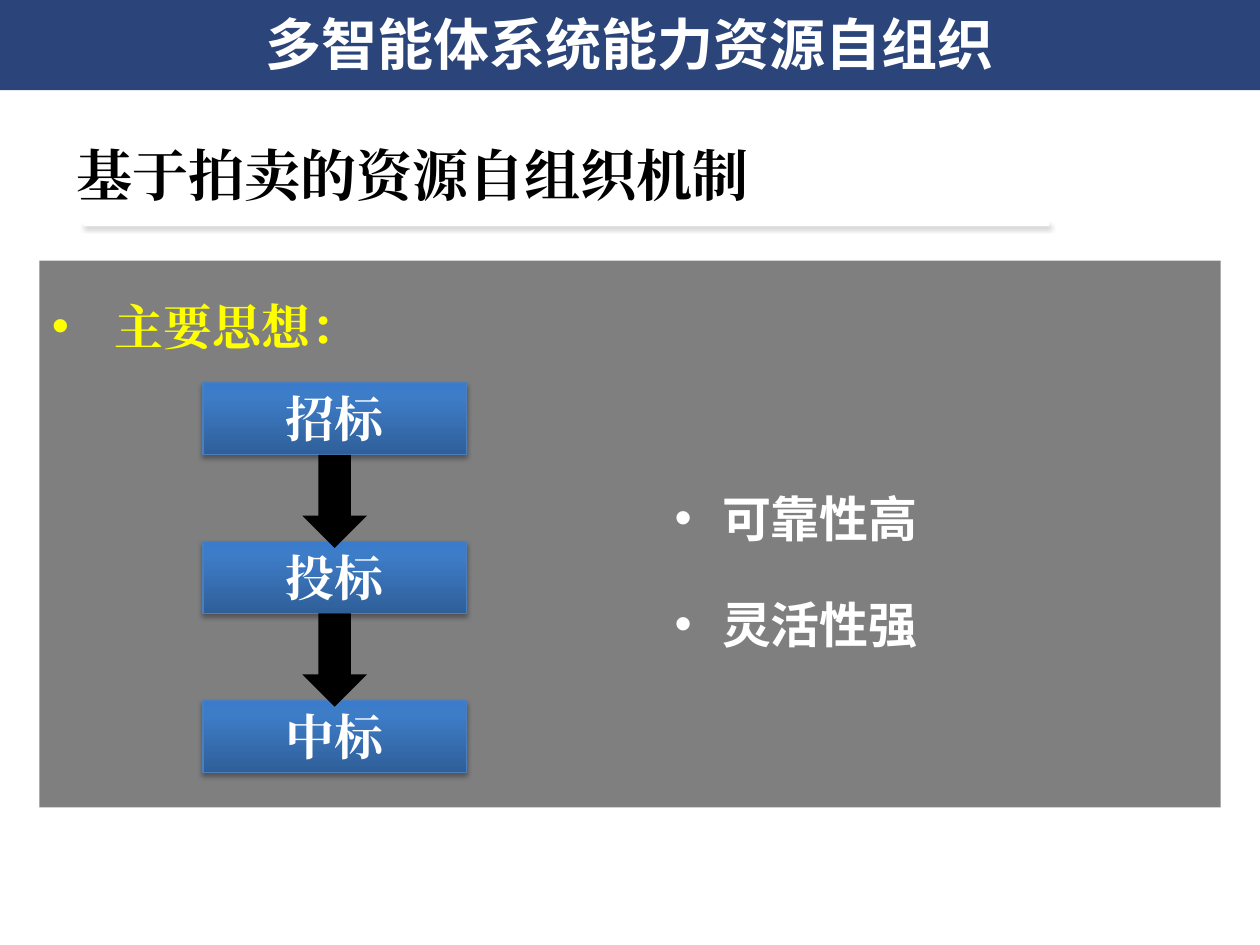
from pptx import Presentation
from pptx.dml.color import RGBColor
from pptx.enum.lang import MSO_LANGUAGE_ID
from pptx.enum.shapes import MSO_CONNECTOR, MSO_SHAPE
from pptx.enum.text import MSO_ANCHOR, PP_ALIGN
from pptx.oxml import parse_xml
from pptx.oxml.ns import nsdecls
from pptx.util import Pt

SERIF, SANS, CJK = "Times New Roman", "Calibri", "Noto Sans CJK SC"
STEP_STOPS = [(0, "2F5F99"), (80, "3D7CC7"), (100, "3A7CCB")]


def rgb(value):
    return RGBColor.from_string(value)


def element(xml):
    """Parse a fragment whose root carries the drawing namespace."""
    head, mark, rest = xml.partition(">")
    if head.endswith("/"):
        head, mark = head[:-1], "/>"
    return parse_xml(f"{head} {nsdecls('a')}{mark}{rest}")


def add_shadow(sp_pr, alpha, distance):
    """Put a soft black shadow below the shape, in place of the theme's."""
    for old in sp_pr.xpath("a:effectLst"):
        sp_pr.remove(old)
    sp_pr.append(element(
        f'<a:effectLst><a:outerShdw blurRad="{Pt(3.1)}" dist="{Pt(distance)}" '
        f'dir="5400000" rotWithShape="0"><a:srgbClr val="000000">'
        f'<a:alpha val="{alpha * 1000}"/></a:srgbClr></a:outerShdw></a:effectLst>'))


def add_box(slide, kind, x, y, w, h, fill, alpha=100):
    sp = slide.shapes.add_shape(kind, Pt(x), Pt(y), Pt(w), Pt(h))
    sp.shadow.inherit = False
    sp.line.fill.background()
    sp.fill.solid()
    sp.fill.fore_color.rgb = rgb(fill)
    if alpha < 100:
        clr = sp._element.spPr.xpath("a:solidFill/a:srgbClr")[0]
        clr.append(element(f'<a:alpha val="{alpha * 1000}"/>'))
    return sp


def write(sp, lines, size, color, font=SERIF, anchor=MSO_ANCHOR.TOP, indent=0, **layout):
    """Fill a shape with lines; an indent makes them bullets, layout formats paragraphs."""
    tf = sp.text_frame
    tf.word_wrap = True
    tf.vertical_anchor = anchor
    for i, line in enumerate(lines):
        p = tf.paragraphs[0] if i == 0 else tf.add_paragraph()
        for name, value in layout.items():
            if i or name != "space_before":
                setattr(p, name, value)
        if indent:
            p_pr = p._p.get_or_add_pPr()
            p_pr.set("marL", str(Pt(indent)))
            p_pr.set("indent", str(Pt(-indent)))
            p_pr.append(element('<a:buFont typeface="Arial"/>'))
            p_pr.append(element('<a:buChar char="•"/>'))
        r = p.add_run()
        r.text = line
        style = {"size": Pt(size), "bold": True, "name": font,
                 "language_id": MSO_LANGUAGE_ID.SIMPLIFIED_CHINESE}
        for name, value in style.items():
            setattr(r.font, name, value)
        r.font.color.rgb = rgb(color)
        r._r.get_or_add_rPr().append(element(f'<a:ea typeface="{font}"/>'))


def add_banner(slide, x, y, w, h):
    sp = add_box(slide, MSO_SHAPE.RECTANGLE, x, y, w, h, "002060", 83)
    write(sp, ["多智能体系统能力资源自组织"], 32, "FFFFFF", SANS,
          MSO_ANCHOR.MIDDLE, alignment=PP_ALIGN.CENTER)


def add_heading(slide, x, y, w, h):
    sp = slide.shapes.add_textbox(Pt(x), Pt(y), Pt(w), Pt(h))
    write(sp, ["基于拍卖的资源自组织机制"], 32, "000000")
    left, rule_y = x + 11.5, y + 51
    rule = slide.shapes.add_connector(
        MSO_CONNECTOR.STRAIGHT, Pt(left), Pt(rule_y), Pt(left + 551.5), Pt(rule_y))
    rule.line.color.rgb = rgb("FFFFFF")
    rule.line.width = Pt(2)
    add_shadow(rule._element.spPr, 38, 1.6)


def add_step(slide, x, y, w, h, label):
    sp = add_box(slide, MSO_SHAPE.RECTANGLE, x, y, w, h, "3D7CC7")
    stops = "".join(f'<a:gs pos="{pos * 1000}"><a:srgbClr val="{c}"/></a:gs>'
                    for pos, c in STEP_STOPS)
    solid = sp._element.spPr.xpath("a:solidFill")[0]
    solid.getparent().replace(solid, element(
        f'<a:gradFill rotWithShape="1"><a:gsLst>{stops}</a:gsLst>'
        '<a:lin ang="16200000" scaled="0"/></a:gradFill>'))
    sp.line.color.rgb = rgb("4B7EBC")
    sp.line.width = Pt(0.75)
    add_shadow(sp._element.spPr, 35, 1.8)
    write(sp, [label], 28, "FFFFFF", alignment=PP_ALIGN.CENTER)


def add_flow(slide, x, y, w, labels):
    step_h, pitch, arrow_w, arrow_h = 41.2, 90.7, 37, 53.3
    for i, label in enumerate(labels):
        add_step(slide, x, y + i * pitch, w, step_h, label)
    for i in range(len(labels) - 1):
        add_box(slide, MSO_SHAPE.DOWN_ARROW, x + (w - arrow_w) / 2,
                y + i * pitch + step_h, arrow_w, arrow_h, "000000")


def add_panel(slide, x, y, w, h):
    sp = add_box(slide, MSO_SHAPE.RECTANGLE, x, y, w, h, "000000", 50)
    write(sp, ["主要思想："], 28, "FFFF00", indent=36,
          line_spacing=1.5, alignment=PP_ALIGN.LEFT)
    add_flow(slide, x + 93.5, y + 69.7, 150.5, ["招标", "投标", "中标"])
    merits = slide.shapes.add_textbox(Pt(x + 356), Pt(y + 126.5), Pt(282), Pt(109))
    write(merits, ["可靠性高", "灵活性强"], 28, "FFFFFF", CJK, indent=27,
          space_before=Pt(27))


def main():
    prs = Presentation()
    prs.slide_width, prs.slide_height = Pt(720), Pt(540)
    slide = prs.slides.add_slide(prs.slide_layouts[6])
    add_banner(slide, 0, -2, 720, 53.5)
    add_heading(slide, 36.7, 77, 624, 46)
    add_panel(slide, 22.5, 149, 675, 312.5)
    prs.save("out.pptx")


if __name__ == "__main__":
    main()
